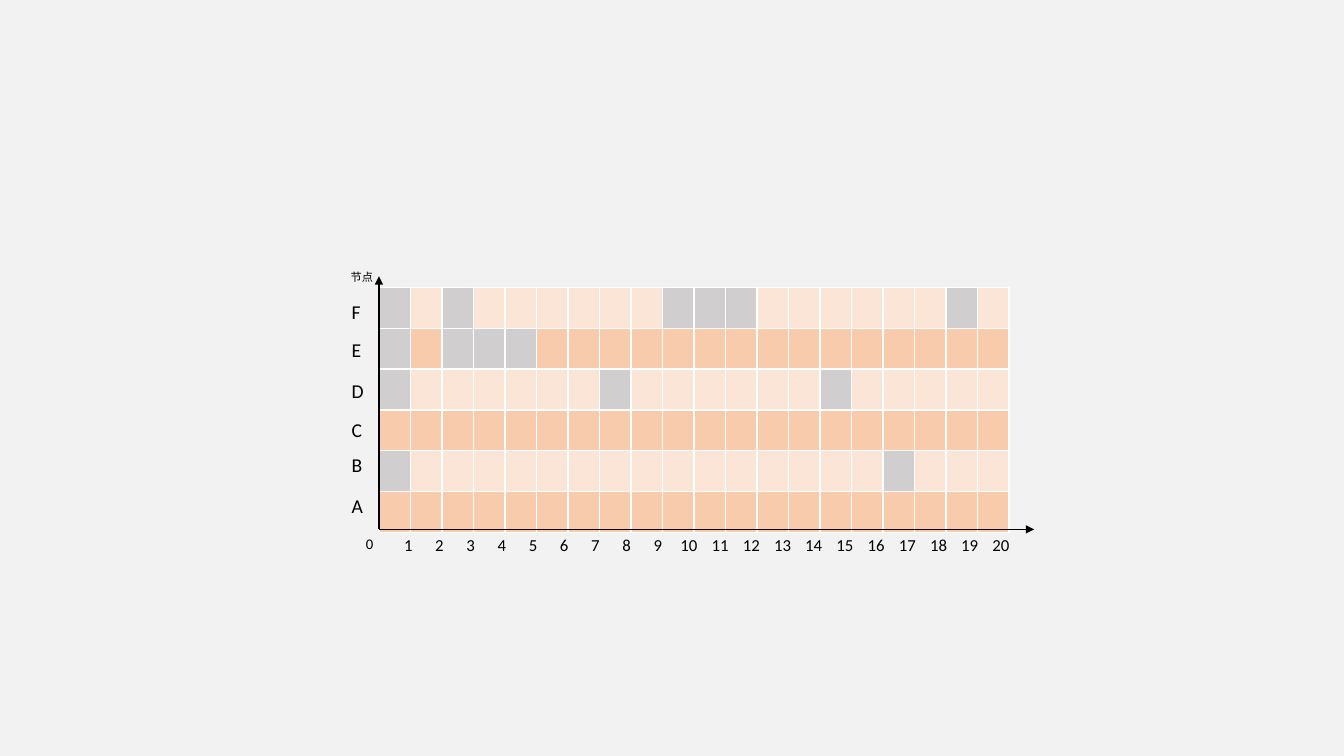
import dataclasses

import pptx
import pptx.dml.color
import pptx.enum.shapes
import pptx.util
from lxml import etree
from pptx.oxml.ns import qn

Cm = pptx.util.Cm
Pt = pptx.util.Pt
Color = pptx.dml.color.RGBColor.from_string


@dataclasses.dataclass(frozen=True)
class Theme:
    font: str = "Calibri"
    back: str = "F2F2F2"
    ink: str = "000000"
    pale: str = "FBE5D6"
    warm: str = "F8CBAD"
    grey: str = "D0CECE"
    title: float = 8
    zero: float = 10.5
    tick: float = 12
    node: float = 14


theme = Theme()
deck = pptx.Presentation()
deck.slide_width, deck.slide_height = Cm(33.87), Cm(19.05)
slide = deck.slides.add_slide(deck.slide_layouts[6])
slide.background.fill.solid()
slide.background.fill.fore_color.rgb = Color(theme.back)


def label(words, size, left, top, width, height, stops=()):
    """Add a one-line text box, with centred tab stops where given (cm)."""
    box = slide.shapes.add_textbox(Cm(left), Cm(top), Cm(width), Cm(height))
    box.text_frame.word_wrap = True
    para = box.text_frame.paragraphs[0]
    if stops:
        tabs = etree.SubElement(para._p.get_or_add_pPr(), qn("a:tabLst"))
        for stop in stops:
            etree.SubElement(tabs, qn("a:tab"), pos=str(Cm(stop)), algn="ctr")
    for word in words:
        run = para.add_run()
        run.text = word
        run.font.name = theme.font
        run.font.size = Pt(size)
        run.font.color.rgb = Color(theme.ink)


# Grid of nodes by time slot; grey slots are listed per node
left, top, base = 9.55, 7.24, 13.34
slots = 20
marks = {
    "F": (1, 3, 10, 11, 12, 19),
    "E": (1, 3, 4, 5),
    "D": (1, 8, 15),
    "C": (),
    "B": (1, 17),
    "A": (),
}
frame = slide.shapes.add_table(
    len(marks), slots, Cm(left), Cm(top), Cm(15.88), Cm(6.18))
grid = frame.table
for col in grid.columns:
    col.width = Cm(15.88 / slots)
for row, (node, greys) in enumerate(marks.items()):
    grid.rows[row].height = Cm(1.03)
    plain = theme.warm if row % 2 else theme.pale
    for slot in range(1, slots + 1):
        cell = grid.cell(row, slot - 1)
        cell.margin_top = cell.margin_bottom = 0
        cell.fill.solid()
        cell.fill.fore_color.rgb = Color(theme.grey if slot in greys else plain)

# Axes, both starting at the origin
for end_x, end_y in ((left, 6.96), (26.06, base)):
    axis = slide.shapes.add_connector(
        pptx.enum.shapes.MSO_CONNECTOR.STRAIGHT,
        Cm(left), Cm(base), Cm(end_x), Cm(end_y))
    axis.line.color.rgb = Color(theme.ink)
    axis.line.width = Pt(1)
    etree.SubElement(axis.line._get_or_add_ln(), qn("a:tailEnd"), type="triangle")
    etree.SubElement(axis._element.spPr, qn("a:effectLst"))

# Axis labels
label(["节点"], theme.title, 8.59, 6.68, 1.98, 0.6)
label(["0"], theme.zero, 8.97, 13.36, 1.98, 0.71)
label([f"\t{n}" for n in range(1, slots + 1)], theme.tick,
      left, base, 16.48, 0.77, [0.49 + 0.786 * n for n in range(slots)])
for node, y in zip(marks, (7.44, 8.38, 9.42, 10.41, 11.3, 12.32)):
    label([node], theme.node, 8.61, y, 0.97, 0.86)

deck.save("out.pptx")
